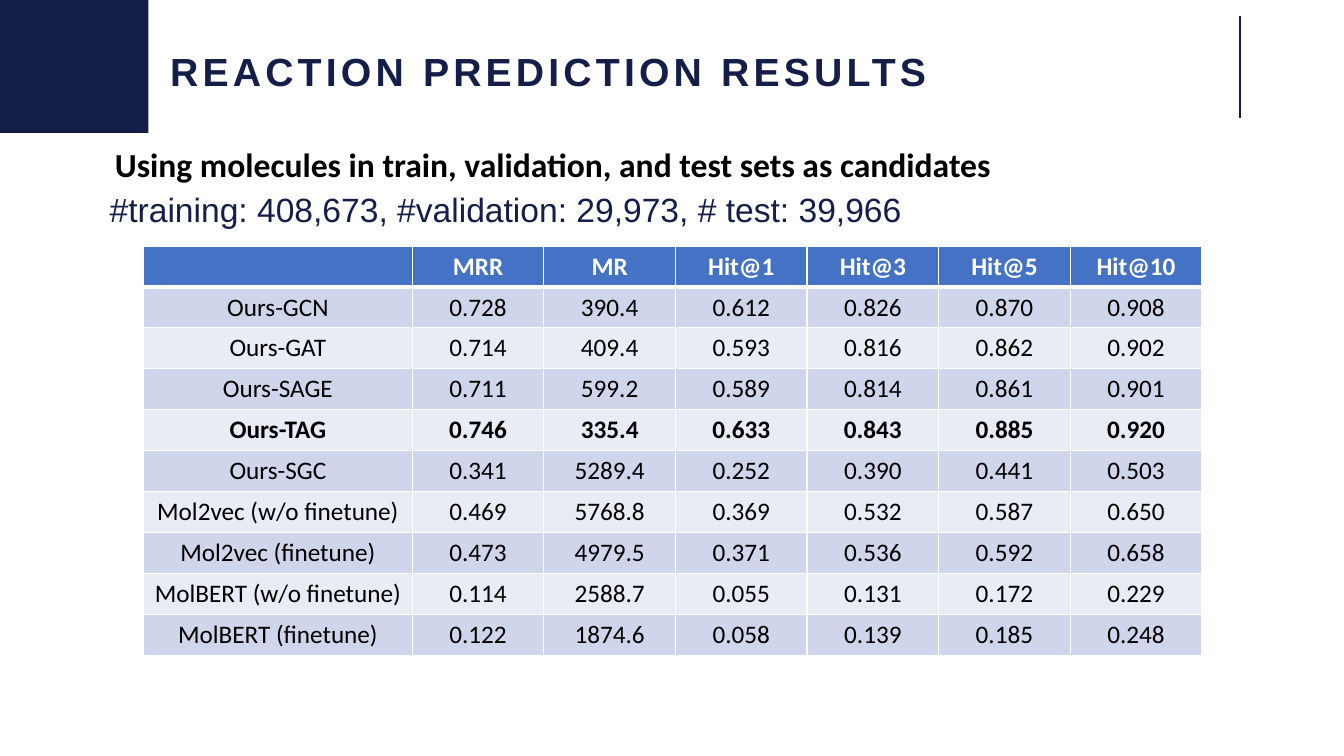
from lxml.etree import SubElement
from pptx import Presentation
from pptx.dml.color import RGBColor
from pptx.enum.shapes import MSO_CONNECTOR, MSO_SHAPE
from pptx.enum.text import MSO_ANCHOR, PP_ALIGN
from pptx.oxml.ns import qn
from pptx.util import Pt

TITLE = "REACTION PREDICTION RESULTS"
SUBTITLE = "Using molecules in train, validation, and test sets as candidates"
COUNTS = "#training: 408,673, #validation: 29,973, # test: 39,966"
HEADER = ["", "MRR", "MR", "Hit@1", "Hit@3", "Hit@5", "Hit@10"]
RESULTS = [
    ("Ours-GCN", "0.728", "390.4", "0.612", "0.826", "0.870", "0.908"),
    ("Ours-GAT", "0.714", "409.4", "0.593", "0.816", "0.862", "0.902"),
    ("Ours-SAGE", "0.711", "599.2", "0.589", "0.814", "0.861", "0.901"),
    ("Ours-TAG", "0.746", "335.4", "0.633", "0.843", "0.885", "0.920"),
    ("Ours-SGC", "0.341", "5289.4", "0.252", "0.390", "0.441", "0.503"),
    ("Mol2vec (w/o finetune)", "0.469", "5768.8", "0.369", "0.532", "0.587", "0.650"),
    ("Mol2vec (finetune)", "0.473", "4979.5", "0.371", "0.536", "0.592", "0.658"),
    ("MolBERT (w/o finetune)", "0.114", "2588.7", "0.055", "0.131", "0.172", "0.229"),
    ("MolBERT (finetune)", "0.122", "1874.6", "0.058", "0.139", "0.185", "0.248"),
]
BEST = "Ours-TAG"
NAVY, BLUE, WHITE, BLACK = "151E49", "4472C4", "FFFFFF", "000000"
BANDS = ["CFD5EA", "E9EBF5"]
NAME_WIDTH, METRIC_WIDTH, ROW_HEIGHT = 192, 94, 29.25


def color(value):
    return RGBColor.from_string(value)


def write(frame, text, font="Calibri", size=18, fill=BLACK, bold=False,
          align=PP_ALIGN.LEFT, leading=None, tracking=0):
    para = frame.paragraphs[0]
    para.alignment = align
    if leading:
        para.line_spacing = leading
    if not text:
        return
    span = para.add_run()
    span.text = text
    span.font.name = font
    span.font.size = Pt(size)
    span.font.bold = bold
    span.font.color.rgb = color(fill)
    if tracking:
        span.font._element.set("spc", str(tracking * 100))


def add_text(page, text, left, top, width, height, anchor=MSO_ANCHOR.TOP, wrap=True, **style):
    box = page.shapes.add_textbox(Pt(left), Pt(top), Pt(width), Pt(height))
    box.text_frame.word_wrap = wrap
    box.text_frame.vertical_anchor = anchor
    write(box.text_frame, text, **style)


def add_borders(cell, top, bottom):
    properties = cell._tc.get_or_add_tcPr()
    for side, width in (("L", 1), ("R", 1), ("T", top), ("B", bottom)):
        line = SubElement(properties, qn(f"a:ln{side}"), w=str(Pt(width)))
        SubElement(SubElement(line, qn("a:solidFill")), qn("a:srgbClr"), val=WHITE)


def add_results(page, left, top):
    rows = [HEADER, *RESULTS]
    metrics = len(HEADER) - 1
    table = page.shapes.add_table(
        len(rows), len(HEADER), Pt(left), Pt(top),
        Pt(NAME_WIDTH + metrics * METRIC_WIDTH), Pt(len(rows) * ROW_HEIGHT)).table
    for index, column in enumerate(table.columns):
        column.width = Pt(METRIC_WIDTH if index else NAME_WIDTH)
    for index, values in enumerate(rows):
        table.rows[index].height = Pt(ROW_HEIGHT)
        is_header = index == 0
        for cell, text in zip(table.rows[index].cells, values):
            add_borders(cell, top=3 if index == 1 else 1, bottom=3 if is_header else 1)
            cell.fill.solid()
            cell.fill.fore_color.rgb = color(BLUE if is_header else BANDS[(index - 1) % 2])
            write(cell.text_frame, text, fill=WHITE if is_header else BLACK,
                  bold=is_header or values[0] == BEST, align=PP_ALIGN.CENTER)


def main():
    deck = Presentation()
    deck.slide_width, deck.slide_height = Pt(960), Pt(540)
    page = deck.slides.add_slide(deck.slide_layouts[6])

    corner = page.shapes.add_shape(MSO_SHAPE.RECTANGLE, 0, 0, Pt(106), Pt(95))
    corner.shadow.inherit = False
    corner.fill.solid()
    corner.fill.fore_color.rgb = color(NAVY)
    corner.line.fill.background()

    rule = page.shapes.add_connector(MSO_CONNECTOR.STRAIGHT, Pt(885.6), Pt(11.5), Pt(885.6), Pt(84.5))
    rule.line.color.rgb = color(NAVY)
    rule.line.width = Pt(1)
    SubElement(rule._element.spPr, qn("a:effectLst"))

    add_text(page, TITLE, 114.5, 10, 762, 85, anchor=MSO_ANCHOR.MIDDLE, font="Arial",
             size=28, fill=NAVY, bold=True, leading=0.9, tracking=3)
    add_results(page, 102.5, 175.75)
    add_text(page, SUBTITLE, 75, 99.5, 641.5, 36, wrap=False, size=24, bold=True)
    add_text(page, COUNTS, 71.25, 134.75, 693.5, 43, font="Arial", size=24, fill=NAVY, leading=0.9)

    deck.save("out.pptx")


if __name__ == "__main__":
    main()
